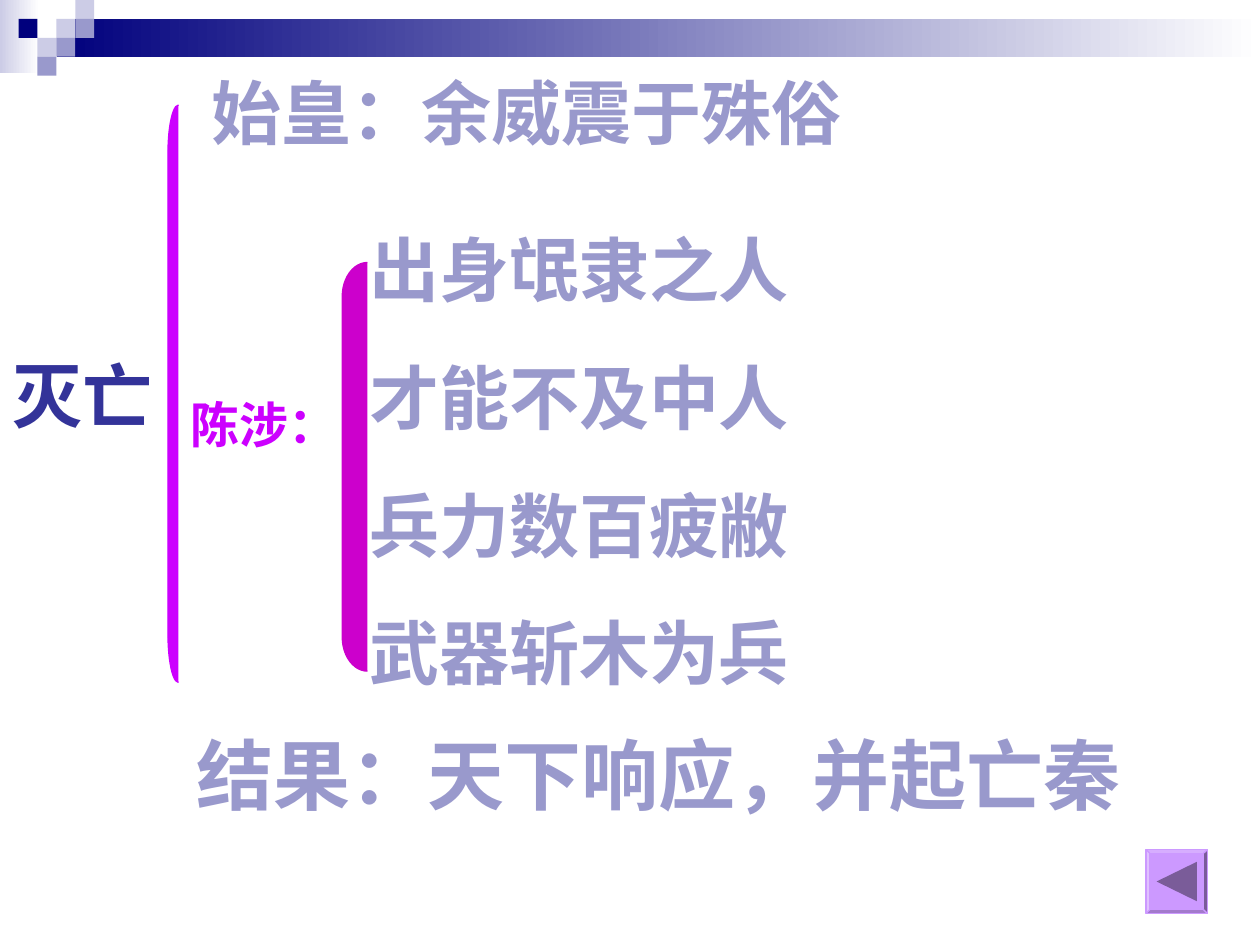
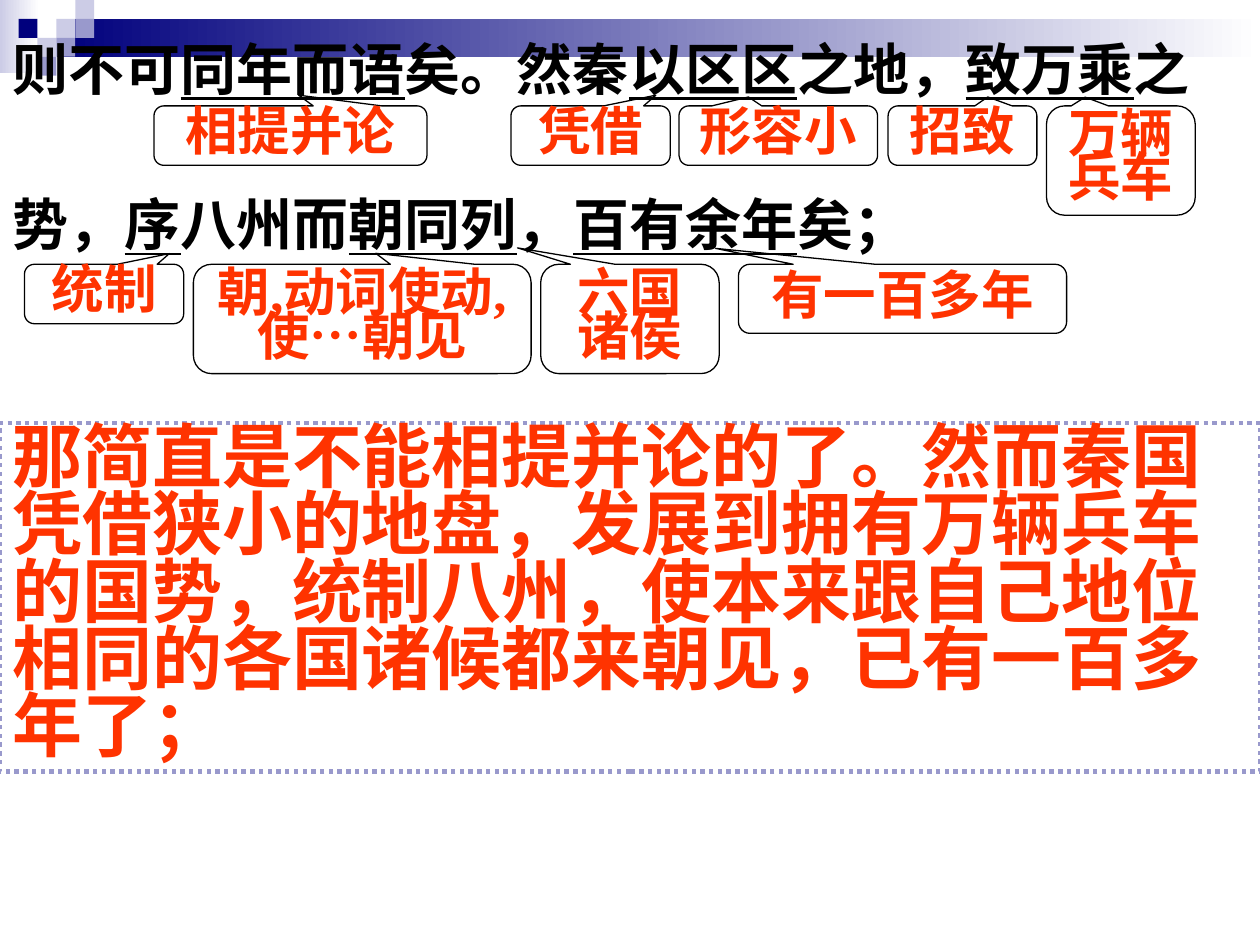
from lxml import etree
from pptx import Presentation
from pptx.dml.color import RGBColor
from pptx.enum import dml, shapes, text
from pptx.oxml import ns
from pptx.util import Pt

HUES = {
    "navy": "00007D", "mist": "CCCCE6", "lilac": "9999CC", "white": "FFFFFF",
    "indigo": "333399", "violet": "CC00FF", "plum": "CC00CC", "mauve": "CC99FF",
    "dusk": "7A5C99", "red": "FF3300", "black": "000000",
}
LATIN, HAN = "Times New Roman", "Noto Sans CJK SC"
KIND = shapes.MSO_SHAPE


def tint(name):
    return RGBColor.from_string(HUES[name])


def write(shape, words, size=40, hue="lilac", face=LATIN, align=None,
          lead=None, gap=0):
    """Fill a shape with bold lines; text between underscores is underlined."""
    frame = shape.text_frame
    frame.word_wrap = True
    frame.vertical_anchor = text.MSO_ANCHOR.TOP
    for row, line in enumerate(words.split("\n")):
        para = frame.add_paragraph() if row else frame.paragraphs[0]
        para.alignment = align or text.PP_ALIGN.LEFT
        para.space_before = Pt(gap if row else 0)
        if lead:
            para.line_spacing = lead
        for turn, part in enumerate(line.split("_")):
            if not part:
                continue
            run = para.add_run()
            run.text = part
            font = run.font
            font.name, font.size, font.bold = face, Pt(size), True
            font.color.rgb = tint(hue)
            font.underline = turn % 2 == 1
            east = etree.SubElement(run._r.get_or_add_rPr(), ns.qn("a:ea"))
            east.set("typeface", HAN)


class Deck:
    def __init__(self):
        self.show = Presentation()
        self.show.slide_width, self.show.slide_height = Pt(720), Pt(540)
        self.slide = None

    def page(self):
        self.slide = self.show.slides.add_slide(self.show.slide_layouts[6])
        self.fade(0, 0, 22.5, 42, "mist")
        self.fade(32.4, 10.8, 687.6, 21.6, "navy")
        side = 10.8
        for col, row, hue in [(3, 1, "mist"), (4, 0, "mist"), (4, 1, "lilac"),
                              (2, 2, "mist"), (1, 1, "navy"), (3, 2, "lilac"),
                              (2, 3, "lilac")]:
            self.shape(KIND.RECTANGLE, col * side - 0.2, row * side, side, side,
                       fill=hue)

    def shape(self, kind, x, y, w, h, fill=None, line=None, width=0.75, adj=()):
        item = self.slide.shapes.add_shape(kind, Pt(x), Pt(y), Pt(w), Pt(h))
        for spot, value in enumerate(adj):
            item.adjustments[spot] = value
        return self.paint(item, fill, line, width)

    def paint(self, item, fill, line=None, width=0.75):
        item.shadow.inherit = False
        if fill:
            item.fill.solid()
            item.fill.fore_color.rgb = tint(fill)
        else:
            item.fill.background()
        if line:
            item.line.color.rgb = tint(line)
            item.line.width = Pt(width)
        else:
            item.line.fill.background()
        return item

    def fade(self, x, y, w, h, hue):
        """Draw a bar that fades from a hue to white, left to right."""
        fill = self.shape(KIND.RECTANGLE, x, y, w, h).fill
        fill.gradient()
        fill.gradient_angle = 0
        for stop, name, place in zip(fill.gradient_stops, (hue, "white"), (0, 1)):
            stop.color.rgb = tint(name)
            stop.position = place

    def label(self, words, x, y, w, h, **form):
        write(self.slide.shapes.add_textbox(Pt(x), Pt(y), Pt(w), Pt(h)),
              words, **form)

    def brace(self, x, y, w, h, hue, bend):
        self.shape(KIND.LEFT_BRACKET, x, y, w, h, fill=hue, line=hue, adj=[bend])

    def button(self, x, y, w, h):
        self.shape(KIND.BEVEL, x, y, w, h, fill="mauve", line="mauve", adj=[0.06])
        pen = self.slide.shapes.build_freeform(Pt(x + 6), Pt(y + h / 2))
        pen.add_line_segments([(Pt(x + 29), Pt(y + 7)),
                               (Pt(x + 29), Pt(y + h - 7))])
        self.paint(pen.convert_to_shape(), "dusk")

    def note(self, words, x, y, w, h, tip, lead=0.7):
        item = self.shape(KIND.ROUNDED_RECTANGULAR_CALLOUT, x, y, w, h,
                          line="black", adj=[*tip, 0.167])
        write(item, words, size=30, hue="red", lead=lead,
              align=text.PP_ALIGN.CENTER)


def fall(deck):
    deck.page()
    deck.label("灭亡", 0, 198, 162, 55, hue="indigo")
    deck.label("始皇：余威震于殊俗", 114, 36, 479, 55)
    deck.label("陈涉：", 102, 222, 120, 41, size=28, hue="violet")
    deck.brace(96, 60, 6, 330, "violet", 4.6)
    deck.label("出身氓隶之人\n才能不及中人\n兵力数百疲敝\n武器斩木为兵",
               204, 126, 474, 274, gap=25)
    deck.label("结果：天下响应，并起亡秦", 105, 412, 578, 60, size=44)
    deck.brace(195.6, 150, 14.4, 233.5, "plum", 1.35)
    deck.button(654.9, 485.5, 35, 36.5)


def gloss(deck):
    deck.page()
    deck.label("则不可_同年而语_矣。然秦_以区区_之地，_致万乘_之\n"
               "势，_序_八州而_朝同列_，_百有余年_矣；",
               0, 16, 720, 135, size=32, hue="black", face=HAN, gap=50.4)
    low, high = 34, 62.5
    rows = {
        60.5: [("相提并论", 88, 156, low, (0.03, -0.68)),
               ("凭借", 292, 91, low, (0.41, -0.68)),
               ("形容小", 388, 113.5, low, (-0.15, -0.65)),
               ("招致", 507.5, 85, low, (0.17, -0.65)),
               ("万辆兵车", 598, 85, high, (-0.24, -0.58))],
        151: [("统制", 14, 91, low, (0.41, -0.68)),
              ("朝,动词使动,使…朝见", 110.5, 193, high, (0.04, -0.6)),
              ("六国诸侯", 309, 102, high, (-0.63, -0.65))],
    }
    for top, notes in rows.items():
        for words, left, wide, tall, tip in notes:
            deck.note(words, left, top, wide, tall, tip)
    deck.note("有一百多年", 422, 151, 187.5, 39.5, (-0.57, -0.73), lead=0.8)
    frame = deck.shape(KIND.RECTANGLE, 0, 241.6, 720, 199.4, line="lilac",
                       width=2.5)
    frame.line.dash_style = dml.MSO_LINE.ROUND_DOT
    write(frame, "那简直是不能相提并论的了。然而秦国凭借狭小的地盘，发展到拥有万辆兵车"
          "的国势，统制八州，使本来跟自己地位相同的各国诸候都来朝见，已有一百多年了；",
          hue="red", lead=0.8)


def main():
    deck = Deck()
    fall(deck)
    gloss(deck)
    deck.show.save("out.pptx")


if __name__ == "__main__":
    main()
